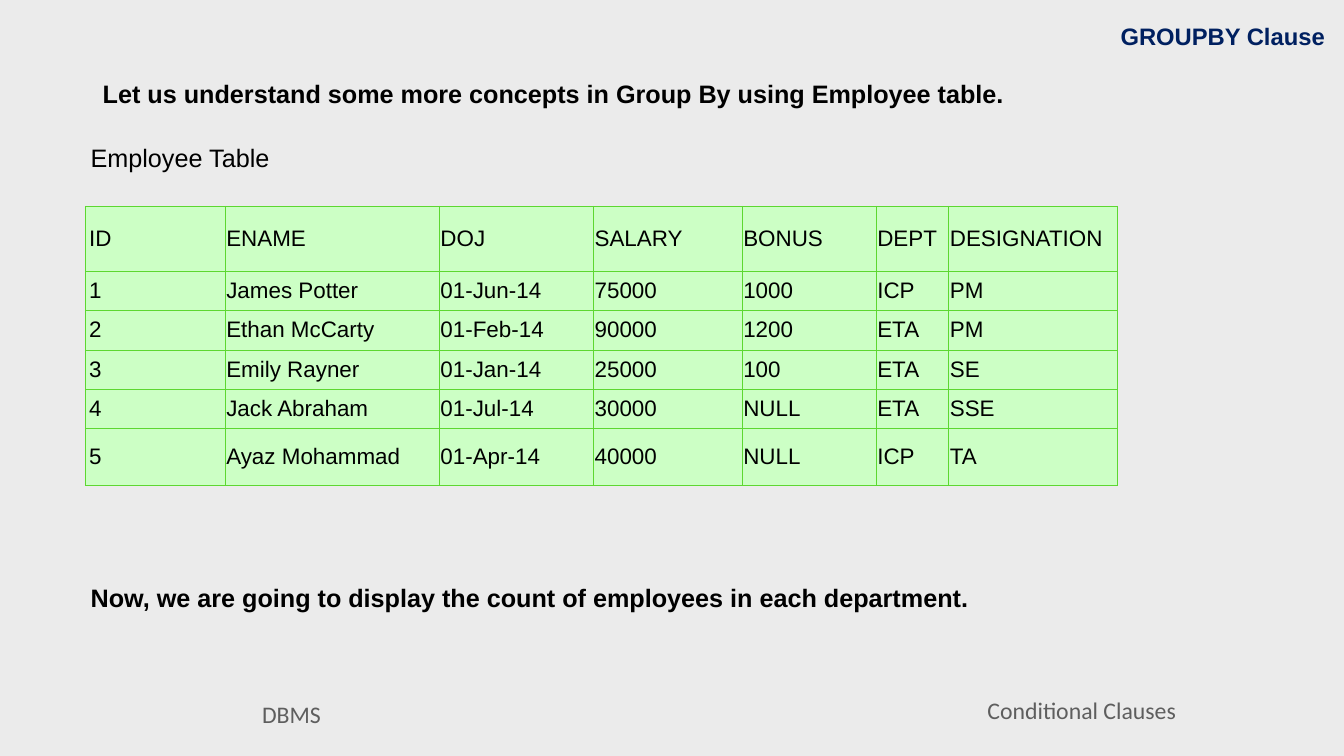
from lxml import etree
from pptx import Presentation
from pptx.dml.color import RGBColor
from pptx.enum import shapes, text
from pptx.oxml.ns import qn
from pptx.util import Inches, Pt


def paint(fill, hue):
    fill.solid()
    fill.fore_color.rgb = RGBColor.from_string(hue)


def write(box, words, size=36, bold=False, hue="000000", font="Arial",
          align="LEFT", anchor="MIDDLE", pad=(0.1, 0.05, 0.1, 0.05)):
    frame = box.text_frame
    frame.word_wrap = True
    frame.auto_size = text.MSO_AUTO_SIZE.NONE
    frame.vertical_anchor = text.MSO_ANCHOR[anchor]
    frame.margin_left, frame.margin_top, frame.margin_right, frame.margin_bottom = map(Inches, pad)
    para = frame.paragraphs[0]
    para.alignment = text.PP_ALIGN[align]
    run = para.add_run()
    run.text = words
    run.font.size = Pt(size)
    run.font.bold = bold
    run.font.name = font
    run.font.color.rgb = RGBColor.from_string(hue)


deck = Presentation()
deck.slide_width, deck.slide_height = Inches(26.67), Inches(15)
slide = deck.slides.add_slide(deck.slide_layouts[5])
paint(slide.background.fill, "EBEBEB")

title = slide.shapes.title
title.left, title.top, title.width, title.height = map(Inches, (9.73, 0.37, 16.62, 0.68))
write(title, "GROUPBY Clause", size=34, bold=True, hue="002060", align="RIGHT", pad=[0.06] * 4)

for words, left, top in [("DBMS", 0.9, 13.78), ("Conditional Clauses", 16.58, 13.7)]:
    foot = slide.shapes.add_shape(shapes.MSO_SHAPE.RECTANGLE,
                                  *map(Inches, (left, top, 9.77, 0.78)))
    foot.shadow.inherit = False
    paint(foot.fill, "EBEBEB")
    foot.line.fill.background()
    write(foot, words, size=34, hue="5E5E5E", font="Calibri", align="CENTER", pad=[0] * 4)

notes = [
    ("Let us understand some more concepts in Group By using Employee table.",
     1.94, 1.5, 18.45, True, "TOP"),
    ("Employee Table", 1.7, 2.76, 4.67, False, "MIDDLE"),
    ("Now, we are going to display the count of employees in each department.",
     1.7, 11.5, 18.45, True, "TOP"),
]
for words, left, top, width, bold, anchor in notes:
    box = slide.shapes.add_textbox(*map(Inches, (left, top, width, 0.71)))
    write(box, words, bold=bold, anchor=anchor)

staff = [
    ["ID", "ENAME", "DOJ", "SALARY", "BONUS", "DEPT", "DESIGNATION"],
    ["1", "James Potter", "01-Jun-14", "75000", "1000", "ICP", "PM"],
    ["2", "Ethan McCarty", "01-Feb-14", "90000", "1200", "ETA", "PM"],
    ["3", "Emily Rayner", "01-Jan-14", "25000", "100", "ETA", "SE"],
    ["4", "Jack Abraham", "01-Jul-14", "30000", "NULL", "ETA", "SSE"],
    ["5", "Ayaz Mohammad", "01-Apr-14", "40000", "NULL", "ICP", "TA"],
]
wide = [2.76, 4.25, 3.06, 2.95, 2.66, 1.44, 3.36]
high = [1.29, 0.78, 0.78, 0.78, 0.78, 1.12]
last = len(wide) - 1
grid = slide.shapes.add_table(len(high), len(wide),
                              *map(Inches, (1.7, 4.09, sum(wide), sum(high)))).table
grid.horz_banding = False
grid.first_row = False
for col, width in zip(grid.columns, wide):
    col.width = Inches(width)
for row, height, names in zip(grid.rows, high, staff):
    row.height = Inches(height)
    for c, (cell, words) in enumerate(zip(row.cells, names)):
        pad = (0.07 if c == 0 else 0.03, 0.01, 0.07 if c == last else 0.03, 0.01)
        write(cell, words, size=32, pad=pad)
        cell.vertical_anchor = text.MSO_ANCHOR.MIDDLE
        cell.margin_left, cell.margin_top, cell.margin_right, cell.margin_bottom = map(Inches, pad)
        props = cell._tc.get_or_add_tcPr()
        for side in "LRTB":
            edge = etree.SubElement(props, qn("a:ln" + side), w=str(Pt(0.75)))
            tint = etree.SubElement(edge, qn("a:solidFill"))
            etree.SubElement(tint, qn("a:srgbClr"), val="5DD731")
        paint(cell.fill, "CCFFC5")

deck.save("out.pptx")
